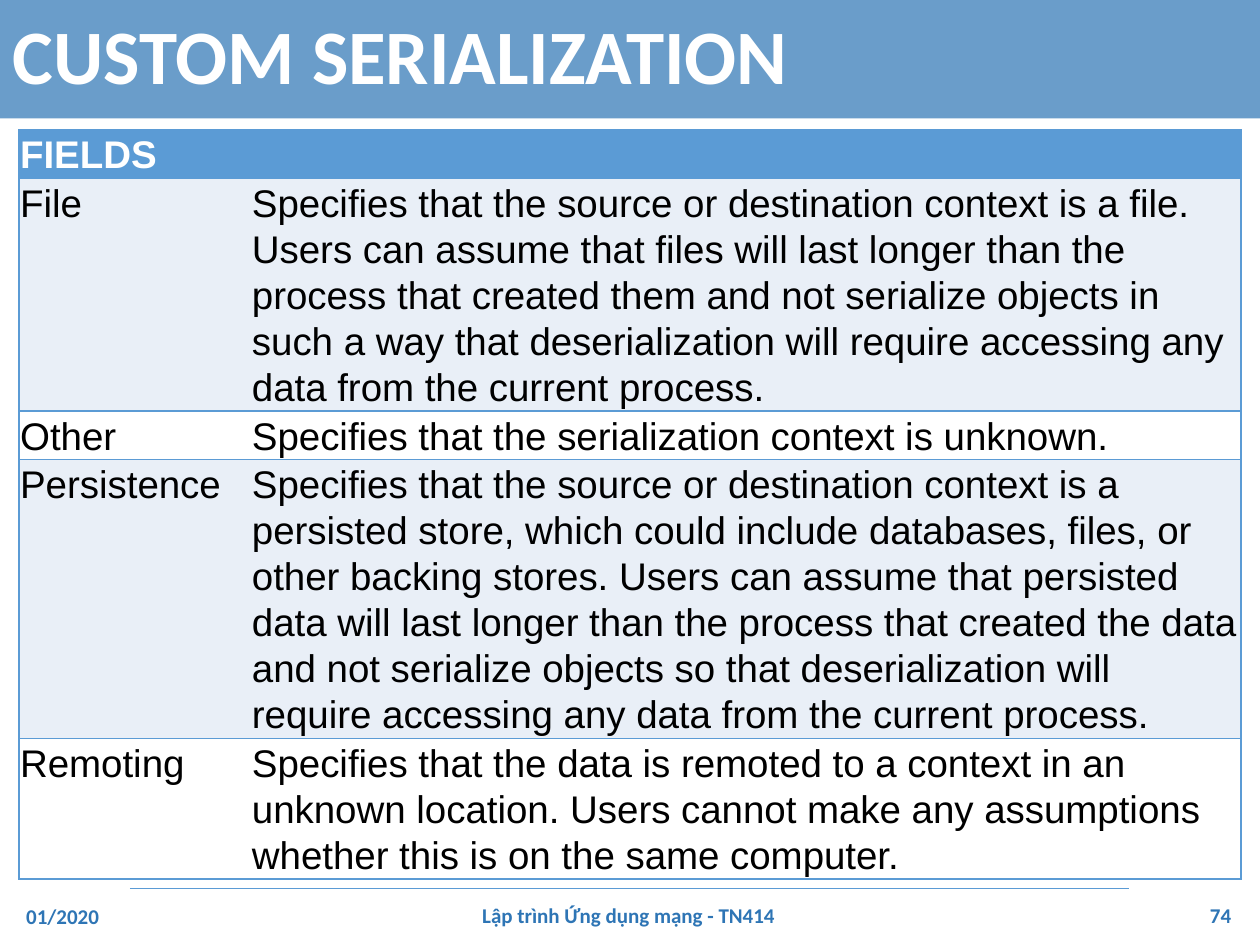
from dataclasses import dataclass

from lxml import etree
from pptx import Presentation
from pptx.dml.color import RGBColor
from pptx.enum import shapes, text
from pptx.oxml import ns
from pptx.util import Inches, Pt


@dataclass(frozen=True)
class Theme:
    dark: str = "2E75B5"
    accent: str = "5B9BD5"
    band: str = "E9EFF7"
    white: str = "FFFFFF"
    black: str = "000000"
    heading_font: str = "Calibri"
    body_font: str = "Arial"
    title_size: int = 44
    table_size: int = 22
    footer_size: int = 12
    title_opacity: int = 71


THEME = Theme()
LEFT, CENTER, RIGHT = text.PP_ALIGN.LEFT, text.PP_ALIGN.CENTER, text.PP_ALIGN.RIGHT
MIDDLE, TOP = text.MSO_ANCHOR.MIDDLE, text.MSO_ANCHOR.TOP

FIELDS = [
    ("File", "Specifies that the source or destination context is a file. Users can assume "
     "that files will last longer than the process that created them and not serialize "
     "objects in such a way that deserialization will require accessing any data from the "
     "current process.", 5),
    ("Other", "Specifies that the serialization context is unknown.", 1),
    ("Persistence", "Specifies that the source or destination context is a persisted store, "
     "which could include databases, files, or other backing stores. Users can assume that "
     "persisted data will last longer than the process that created the data and not "
     "serialize objects so that deserialization will require accessing any data from the "
     "current process.", 6),
    ("Remoting", "Specifies that the data is remoted to a context in an unknown location. "
     "Users cannot make any assumptions whether this is on the same computer.", 3),
]


def rgb(color):
    return RGBColor.from_string(color)


def set_all(target, values):
    for name, value in values.items():
        setattr(target, name, value)


def write(tf, words, font, size, color, bold=False, align=LEFT, spacing=1.0):
    p = tf.paragraphs[0]
    set_all(p, {"alignment": align, "line_spacing": spacing})
    r = p.add_run()
    r.text = words
    set_all(r.font, {"name": font, "size": Pt(size), "bold": bold})
    r.font.color.rgb = rgb(color)


def add_title(s, box, words):
    sp = s.shapes.title
    set_all(sp, dict(zip(("left", "top", "width", "height"), map(Inches, box))))
    sp.fill.solid()
    sp.fill.fore_color.rgb = rgb(THEME.dark)
    color = sp.fill._xPr.find(".//" + ns.qn("a:srgbClr"))
    etree.SubElement(color, ns.qn("a:alpha"), val=str(THEME.title_opacity * 1000))
    set_all(sp.text_frame, {"word_wrap": True, "vertical_anchor": MIDDLE,
                            "auto_size": text.MSO_AUTO_SIZE.NONE})
    write(sp.text_frame, words, THEME.heading_font, THEME.title_size, THEME.white,
          bold=True, spacing=0.9)


def set_borders(cell, sides):
    tc_pr = cell._tc.get_or_add_tcPr()
    for i, side in enumerate("LRTB"):
        ln = etree.Element(ns.qn(f"a:ln{side}"), w=str(Pt(1)))
        if side in sides:
            fill = etree.SubElement(ln, ns.qn("a:solidFill"))
            etree.SubElement(fill, ns.qn("a:srgbClr"), val=THEME.accent)
        else:
            etree.SubElement(ln, ns.qn("a:noFill"))
        tc_pr.insert(i, ln)


def format_cell(cell, fill, sides, anchor=TOP):
    margins = ("margin_left", "margin_right", "margin_top", "margin_bottom")
    set_all(cell, dict.fromkeys(margins, Inches(0.01)))
    cell.vertical_anchor = anchor
    cell.fill.solid()
    cell.fill.fore_color.rgb = rgb(fill)
    set_borders(cell, sides)


def add_fields_table(s, box, heading, fields):
    left, top, width, height = box
    name_width = 1.84
    table = s.shapes.add_table(len(fields) + 1, 2, *map(Inches, box)).table
    set_all(table, {"first_row": False, "horz_banding": False})
    for column, w in zip(table.columns, (name_width, width - name_width)):
        column.width = Inches(w)
    lines = [1] + [count for _, _, count in fields]
    padding = 0.02
    line_height = (height - padding * len(lines)) / sum(lines)
    for row, count in zip(table.rows, lines):
        row.height = Inches(count * line_height + padding)

    head = table.cell(0, 0)
    head.merge(table.cell(0, 1))
    for cell in table.rows[0].cells:
        format_cell(cell, THEME.accent, "LRTB", MIDDLE)
    write(head.text_frame, heading, THEME.body_font, THEME.table_size, THEME.white,
          bold=True, spacing=1.07)
    for i, (name, meaning, _) in enumerate(fields):
        fill = THEME.white if i % 2 else THEME.band
        for j, (words, sides) in enumerate(((name, "LTB"), (meaning, "RTB"))):
            cell = table.cell(i + 1, j)
            format_cell(cell, fill, sides)
            write(cell.text_frame, words, THEME.body_font, THEME.table_size,
                  THEME.black, spacing=1.07)


def add_footer(s, box, date, course, number):
    left, top, width, height = box
    side = 0.9
    rule = s.shapes.add_connector(
        shapes.MSO_CONNECTOR.STRAIGHT, Inches(left + 0.92), Inches(top),
        Inches(left + width - 0.91), Inches(top))
    rule.line.color.rgb = rgb(THEME.accent)
    rule.line.width = Pt(0.75)
    etree.SubElement(rule._element.spPr, ns.qn("a:effectLst"))
    parts = (
        (date, left, 0.02, side, LEFT),
        (course, left + 0.93, 0.01, 7.9, CENTER),
        (number, left + width - side, 0.01, side, RIGHT),
    )
    for words, x, drop, w, align in parts:
        sp = s.shapes.add_textbox(Inches(x), Inches(top + drop), Inches(w), Inches(height))
        set_all(sp.text_frame, {"word_wrap": True, "vertical_anchor": MIDDLE})
        write(sp.text_frame, words, THEME.heading_font, THEME.footer_size, THEME.dark,
              bold=True, align=align)


def main():
    prs = Presentation()
    set_all(prs, {"slide_width": Inches(10), "slide_height": Inches(7.5)})
    s = prs.slides.add_slide(prs.slide_layouts[5])
    add_title(s, (0, 0, 10, 0.94), "CUSTOM SERIALIZATION")
    add_fields_table(s, (0.15, 1.03, 9.7, 5.91), "FIELDS", FIELDS)
    add_footer(s, (0.11, 7.05, 9.76, 0.4), "01/2020", "Lập trình Ứng dụng mạng - TN414", "74")
    prs.save("out.pptx")


if __name__ == "__main__":
    main()
